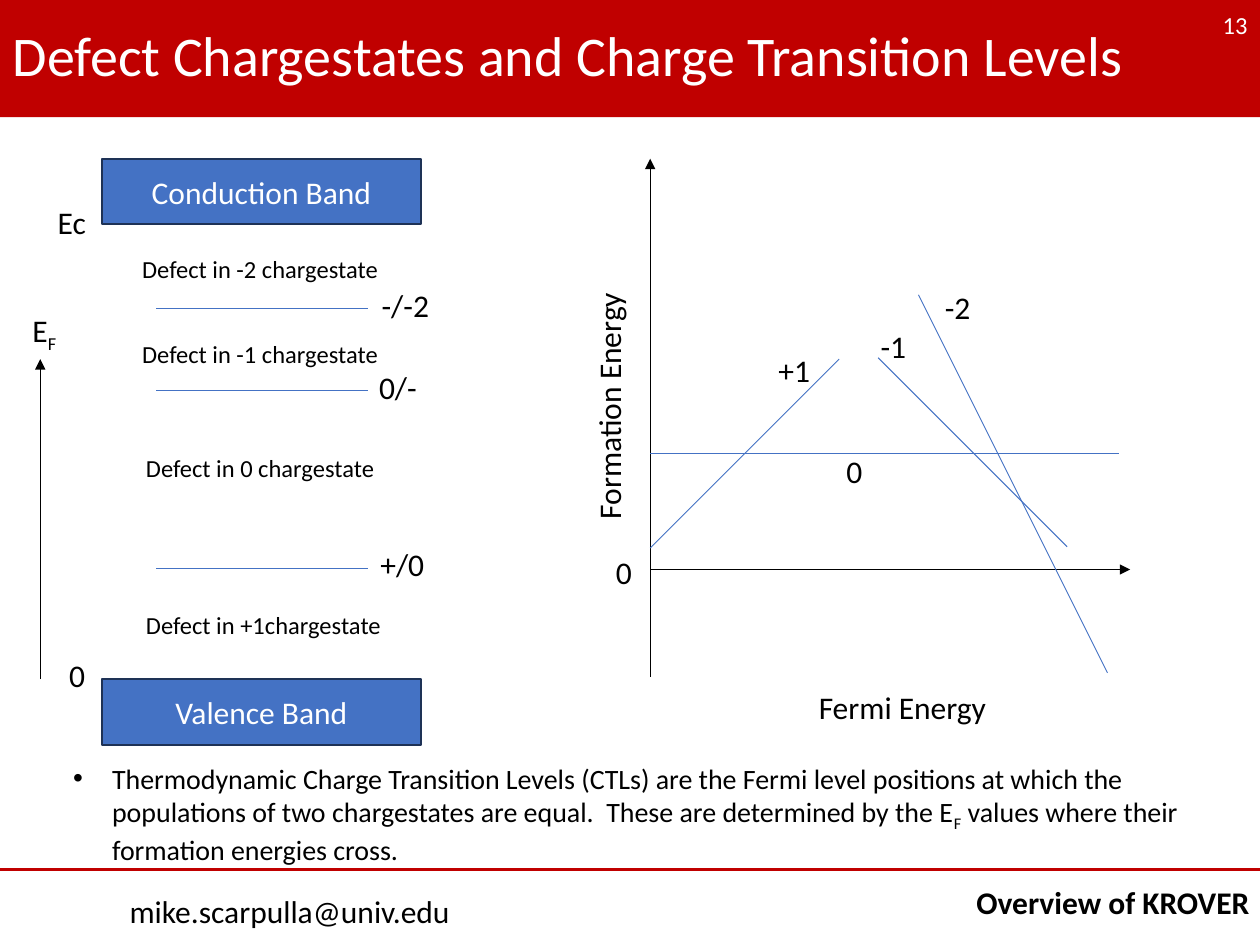
import pptx
import pptx.dml.color
import pptx.enum.shapes
import pptx.enum.text
import pptx.oxml
import pptx.util
from pptx.util import Inches

RGB = pptx.dml.color.RGBColor
RED = RGB(0xC0, 0x00, 0x00)
BLUE = RGB(0x44, 0x72, 0xC4)
NAVY = RGB(0x1E, 0x32, 0x56)
BLACK = RGB(0, 0, 0)
WHITE = RGB(255, 255, 255)

ALIGN = pptx.enum.text.PP_ALIGN
MIDDLE = pptx.enum.text.MSO_ANCHOR.MIDDLE
NOFIT = pptx.enum.text.MSO_AUTO_SIZE.NONE


def node(tag, **attrs):
    """Make an element of the DrawingML namespace."""
    item = pptx.oxml.parse_xml(
        '<a:%s xmlns:a="http://schemas.openxmlformats.org/drawingml/2006/main"/>' % tag)
    for key, value in attrs.items():
        item.set(key, value)
    return item


class Page:
    font = "Calibri"

    def __init__(self, deck):
        self.slide = deck.slides.add_slide(deck.slide_layouts[1])
        self.shapes = self.slide.shapes

    def letter(self, shape, text, size=18, color=BLACK, bold=False, wrap=False,
               anchor=None, **form):
        """Fill a shape with text; every second part between | marks is a subscript."""
        frame = shape.text_frame
        frame.auto_size = NOFIT
        frame.word_wrap = wrap
        if anchor is not None:
            frame.vertical_anchor = anchor
        para = frame.paragraphs[0]
        for key, value in form.items():
            setattr(para, key, value)
        for i, part in enumerate(text.split("|")):
            run = para.add_run()
            run.text = part
            style = {"name": self.font, "size": pptx.util.Pt(size), "bold": bold}
            for key, value in style.items():
                setattr(run.font, key, value)
            run.font.color.rgb = color
            if i % 2:
                run._r.get_or_add_rPr().set("baseline", "-25000")
        return para

    def place(self, shape, x, y, w, h):
        spot = {"left": x, "top": y, "width": w, "height": h}
        for key, value in spot.items():
            setattr(shape, key, Inches(value))

    def title(self, text, h):
        bar = self.shapes.title
        self.place(bar, 0, 0, 10, h)
        bar.fill.solid()
        bar.fill.fore_color.rgb = RED
        self.letter(bar, text, 32, WHITE, wrap=True, anchor=MIDDLE,
                    alignment=ALIGN.LEFT, line_spacing=0.9)

    def bullet(self, text, x, y, w, h):
        body = self.slide.placeholders[1]
        self.place(body, x, y, w, h)
        para = self.letter(body, text, 16, wrap=True, space_before=pptx.util.Pt(0))
        props = para._p.get_or_add_pPr()
        props.set("marL", str(Inches(0.31)))
        props.set("indent", str(Inches(-0.31)))
        props.append(node("buFont", typeface="Arial"))
        props.append(node("buChar", char="•"))

    def label(self, text, x, y, w, h=0.4, turn=0, **style):
        box = self.shapes.add_textbox(Inches(x), Inches(y), Inches(w), Inches(h))
        box.rotation = turn
        self.letter(box, text, **style)

    def band(self, text, x, y, w, h):
        box = self.shapes.add_shape(pptx.enum.shapes.MSO_SHAPE.RECTANGLE,
                                    Inches(x), Inches(y), Inches(w), Inches(h))
        box.shadow.inherit = False
        box.fill.solid()
        box.fill.fore_color.rgb = BLUE
        box.line.color.rgb = NAVY
        box.line.width = pptx.util.Pt(1)
        self.letter(box, text, color=WHITE, wrap=True, anchor=MIDDLE,
                    alignment=ALIGN.CENTER)

    def line(self, x1, y1, x2, y2, color=BLUE, width=0.5, arrow=False):
        rule = self.shapes.add_connector(
            pptx.enum.shapes.MSO_CONNECTOR.STRAIGHT,
            Inches(x1), Inches(y1), Inches(x2), Inches(y2))
        rule.line.color.rgb = color
        rule.line.width = pptx.util.Pt(width)
        props = rule._element.spPr
        if arrow:
            props.get_or_add_ln().append(node("tailEnd", type="triangle"))
        props.append(node("effectLst"))


def frame(page):
    page.title("Defect Chargestates and Charge Transition Levels", 0.93)
    page.label("13", 9.36, 0, 0.64, size=14, color=WHITE, wrap=True,
               anchor=MIDDLE, alignment=ALIGN.RIGHT)
    page.line(0, 6.9, 10, 6.9, RED, 2)
    page.label("Overview of KROVER", 7.65, 6.96, 2.41, bold=True)
    page.label("mike.scarpulla@univ.edu", 0.93, 7.03, 2.84)
    page.bullet("Thermodynamic Charge Transition Levels (CTLs) are the Fermi level "
                "positions at which the populations of two chargestates are equal.  "
                "These are determined by the E|F| values where their formation "
                "energies cross.", 0.48, 5.99, 9.36, 0.91)


def bands(page):
    """Band diagram with the transition levels in the gap."""
    for text, y in (("Conduction Band", 1.26), ("Valence Band", 5.39)):
        page.band(text, 0.81, y, 2.53, 0.52)
    for text, x, y, w in (("-/-2", 2.93, 2.45, 0.58), ("0/-", 2.91, 3.1, 0.51),
                          ("+/0", 2.92, 4.51, 0.55)):
        page.line(1.24, y, 2.92, y)
        page.label(text, x, y - 0.23, w)
    for state, x, y in (("-2 ", 1.03, 1.97), ("-1 ", 1.03, 2.64),
                        ("0 ", 1.06, 3.55), ("+1", 1.06, 4.79)):
        page.label("Defect in " + state + "chargestate", x, y, 2.09, 0.34, size=14)
    page.line(0.32, 5.39, 0.32, 2.85, BLACK, arrow=True)
    for text, x, y, w in (("E|F", 0.16, 2.42, 0.4), ("Ec", 0.36, 1.56, 0.43),
                          ("0", 0.45, 5.16, 0.33)):
        page.label(text, x, y, w)


def plot(page):
    """Formation energy of each charge state against Fermi energy."""
    left, zero = 5.16, 4.52
    page.line(left, 5.37, left, 1.26, BLACK, arrow=True)
    page.line(left, zero, 8.97, zero, BLACK, arrow=True)
    page.label("Formation Energy", 3.82, 3.01, 2.02, turn=270)
    page.label("Fermi Energy", 6.4, 5.41, 1.54)
    page.label("0", 4.79, 4.34, 0.33)
    # charge, line start x and y, run, label x and y
    for charge, x, y, run, tx, ty in ((1, left, 4.35, 1.5, 6.08, 2.74),
                                      (0, left, 3.6, 3.72, 6.62, 3.54),
                                      (-1, 6.97, 2.84, 1.5, 6.89, 2.55),
                                      (-2, 7.29, 2.34, 1.5, 7.4, 2.24)):
        page.line(x, y, x + run, y - charge * run)
        page.label(f"{charge:+d}" if charge else "0", tx, ty, 0.46)


def main():
    deck = pptx.Presentation()
    deck.slide_width, deck.slide_height = Inches(10), Inches(7.5)
    page = Page(deck)
    for draw in (frame, bands, plot):
        draw(page)
    deck.save("out.pptx")


if __name__ == "__main__":
    main()
